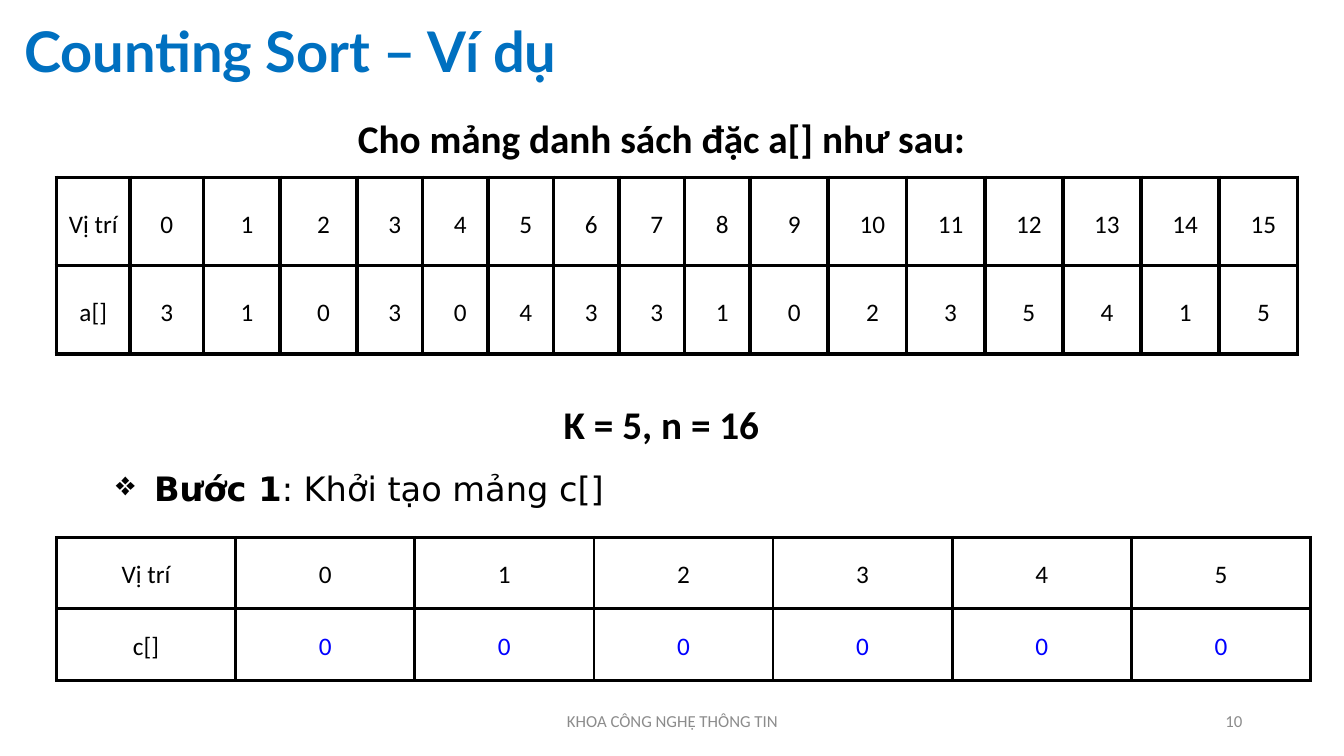
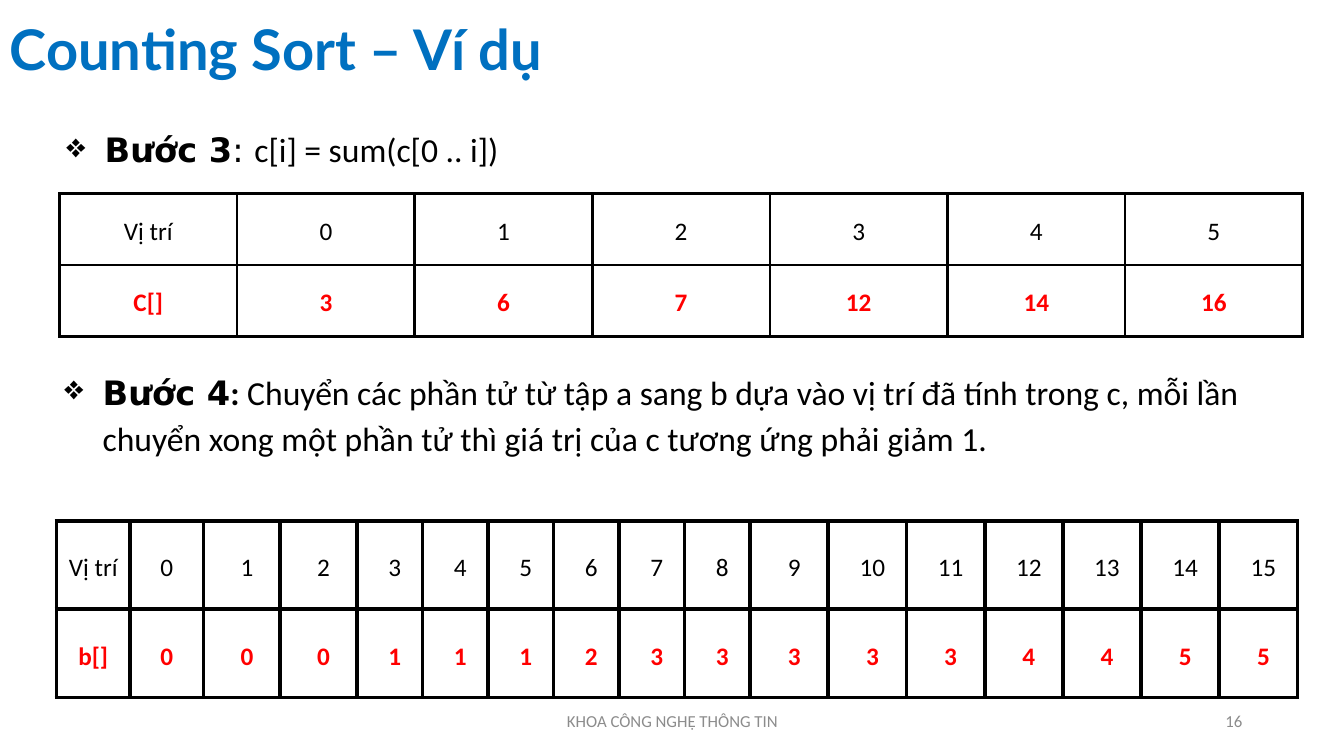
"""Build two slides that walk through a counting sort example."""
from dataclasses import dataclass
from typing import Any, Optional

from lxml import etree
from pptx import Presentation
from pptx.dml.color import RGBColor
from pptx.enum.text import MSO_ANCHOR, PP_ALIGN
from pptx.oxml.ns import qn
from pptx.util import Inches, Pt

LEFT, CENTER, RIGHT = PP_ALIGN.LEFT, PP_ALIGN.CENTER, PP_ALIGN.RIGHT
TOP, MIDDLE = MSO_ANCHOR.TOP, MSO_ANCHOR.MIDDLE


@dataclass(frozen=True)
class Theme:
    title_color: str = "0070C0"
    text_color: str = "000000"
    footer_color: str = "8C8C8C"
    initial_color: str = "0000FF"
    result_color: str = "FF0000"
    title_font: str = "Lato"
    body_font: str = "Calibri"
    step_font: str = "DejaVu Sans"
    title_size: float = 40
    heading_size: float = 28
    step_size: float = 24
    cell_size: float = 18
    footer_size: float = 12


THEME = Theme()


@dataclass(frozen=True)
class Box:
    left: float
    top: float
    width: float
    height: float

    def lengths(self) -> tuple:
        return tuple(Inches(value) for value in (self.left, self.top, self.width, self.height))


@dataclass(frozen=True)
class TextRun:
    text: str
    size: float
    font: str = THEME.body_font
    color: str = THEME.text_color
    bold: bool = False


@dataclass(frozen=True)
class TableStyle:
    column_widths: tuple[float, ...]
    row_height: float
    side_margin: float
    end_margin: float
    border_width: float
    line_spacing: float
    space_after: float
    indented_from: Optional[int] = None


@dataclass(frozen=True)
class ArrayTable:
    left: float
    top: float
    style: TableStyle
    name: str
    values: tuple[int, ...]
    name_color: str = THEME.text_color
    value_color: str = THEME.text_color
    bold: bool = False


def list_style(width: float) -> TableStyle:
    """Return the style of a sixteen-element array table."""
    first_widths = (0.73,) * 2 + (0.76,) * 2 + (0.65,) * 6
    last_width = (width - sum(first_widths)) / 7
    return TableStyle(first_widths + (last_width,) * 7, 0.875, 0.1, 0, 3, 1.2, 6, 2)


def count_style(width: float) -> TableStyle:
    """Return the style of a counter table with seven equal columns."""
    return TableStyle((width / 7,) * 7, 0.71, 0.11, 0.08, 2.25, 1.15, 15)


def apply_format(target: Any, values: dict[str, Any]) -> None:
    """Set each named attribute on the target."""
    for name, value in values.items():
        setattr(target, name, value)


def add_runs(paragraph: Any, runs: list[TextRun]) -> None:
    """Append formatted runs to a paragraph."""
    for item in runs:
        run = paragraph.add_run()
        run.text = item.text
        apply_format(run.font, {"name": item.font, "size": Pt(item.size), "bold": item.bold})
        run.font.color.rgb = RGBColor.from_string(item.color)


def add_text(slide: Any, box: Box, runs: list[TextRun], anchor: Any = TOP, **paragraph_format: Any) -> Any:
    """Add a wrapped text box and return its text frame."""
    frame = slide.shapes.add_textbox(*box.lengths()).text_frame
    apply_format(frame, {"word_wrap": True, "vertical_anchor": anchor})
    paragraph = frame.paragraphs[0]
    apply_format(paragraph, paragraph_format)
    add_runs(paragraph, runs)
    return frame


def add_step(slide: Any, box: Box, label: str, runs: list[TextRun]) -> None:
    """Add a bulleted step with a bold label."""
    label_run = TextRun(label, THEME.step_size, THEME.step_font, bold=True)
    frame = add_text(slide, box, [label_run, *runs], line_spacing=1.15, space_after=Pt(7.5))
    properties = frame.paragraphs[0]._p.get_or_add_pPr()
    properties.set("marL", str(Inches(0.38)))
    properties.set("indent", str(-Inches(0.38)))
    etree.SubElement(properties, qn("a:buChar"), char="❖")


def add_borders(cell: Any, width: float) -> None:
    """Draw a solid line on all four sides of a cell."""
    properties = cell._tc.get_or_add_tcPr()
    for side in ("L", "R", "T", "B"):
        line = etree.SubElement(properties, qn(f"a:ln{side}"), w=str(Pt(width)))
        fill = etree.SubElement(line, qn("a:solidFill"))
        etree.SubElement(fill, qn("a:srgbClr"), val=THEME.text_color)


def fill_cell(cell: Any, run: TextRun, style: TableStyle, indented: bool) -> None:
    """Write and format one table cell."""
    side, end = Inches(style.side_margin), Inches(style.end_margin)
    apply_format(cell, {
        "vertical_anchor": MIDDLE,
        "margin_left": side,
        "margin_right": side,
        "margin_top": end,
        "margin_bottom": end,
    })
    paragraph = cell.text_frame.paragraphs[0]
    apply_format(paragraph, {
        "alignment": CENTER,
        "line_spacing": style.line_spacing,
        "space_after": Pt(style.space_after),
    })
    if indented:
        paragraph._p.get_or_add_pPr().set("indent", str(Inches(0.1)))
    add_runs(paragraph, [run])
    add_borders(cell, style.border_width)
    cell.fill.background()


def add_array_table(slide: Any, array: ArrayTable) -> None:
    """Add a table of array positions and values."""
    style = array.style
    widths = style.column_widths
    box = Box(array.left, array.top, sum(widths), 2 * style.row_height)
    table = slide.shapes.add_table(2, len(widths), *box.lengths()).table
    apply_format(table, {"first_row": False, "horz_banding": False})
    for column, width in zip(table.columns, widths):
        column.width = Inches(width)
    for row in table.rows:
        row.height = Inches(style.row_height)
    positions = ("Vị trí", *range(len(array.values)))
    for index, (position, value) in enumerate(zip(positions, (array.name, *array.values))):
        color = array.value_color if index else array.name_color
        indented = style.indented_from is not None and index >= style.indented_from
        runs = (
            TextRun(str(position), THEME.cell_size),
            TextRun(str(value), THEME.cell_size, color=color, bold=array.bold),
        )
        for row_index, run in enumerate(runs):
            fill_cell(table.cell(row_index, index), run, style, indented)


def add_slide(presentation: Any, title_box: Box, number: int) -> Any:
    """Add a blank slide with the shared title and footer."""
    slide = presentation.slides.add_slide(presentation.slide_layouts[6])
    title = TextRun("Counting Sort – Ví dụ", THEME.title_size, THEME.title_font, THEME.title_color, True)
    add_text(slide, title_box, [title], MIDDLE, line_spacing=0.9)
    footers = (
        (Box(4.42, 6.95, 4.5, 0.4), "KHOA CÔNG NGHỆ THÔNG TIN", CENTER),
        (Box(9.42, 6.95, 3, 0.4), str(number), RIGHT),
    )
    for box, text, alignment in footers:
        run = TextRun(text, THEME.footer_size, color=THEME.footer_color)
        add_text(slide, box, [run], MIDDLE, alignment=alignment)
    return slide


def add_setup_slide(presentation: Any) -> None:
    """Add the slide with the input array and empty counters."""
    slide = add_slide(presentation, Box(0.14, 0, 11.5, 1.08), 10)
    heading = TextRun("Cho mảng danh sách đặc a[] như sau:", THEME.heading_size, bold=True)
    frame = add_text(slide, Box(0.56, 1.08, 12, 4.81), [heading], alignment=CENTER)
    size_line = frame.add_paragraph()
    apply_format(size_line, {"alignment": CENTER, "space_before": Pt(171)})
    add_runs(size_line, [TextRun("K = 5, n = 16", THEME.heading_size, bold=True)])
    add_array_table(slide, ArrayTable(
        0.56, 1.76, list_style(12.31), "a[]", (3, 1, 0, 3, 0, 4, 3, 3, 1, 0, 2, 3, 5, 4, 1, 5)))
    add_step(slide, Box(1.05, 4.53, 5.22, 0.57), "Bước 1", [
        TextRun(": Khởi tạo mảng c[]", THEME.step_size, THEME.step_font)])
    add_array_table(slide, ArrayTable(
        0.56, 5.33, count_style(12.44), "c[]", (0,) * 6, value_color=THEME.initial_color))


def add_result_slide(presentation: Any) -> None:
    """Add the slide with the summed counters and sorted array."""
    slide = add_slide(presentation, Box(0, 0, 11.5, 1.04), 16)
    result_format = {"name_color": THEME.result_color, "value_color": THEME.result_color, "bold": True}
    add_step(slide, Box(0.56, 1.17, 11.51, 0.57), "Bước 3", [
        TextRun(": ", THEME.step_size, THEME.step_font),
        TextRun("c[i] = sum(c[0 .. i])", THEME.step_size),
    ])
    add_array_table(slide, ArrayTable(
        0.59, 1.92, count_style(12.33), "C[]", (3, 6, 7, 12, 14, 16), **result_format))
    add_step(slide, Box(0.54, 3.58, 12.35, 1.53), "Bước 4", [
        TextRun(":", THEME.step_size, bold=True),
        TextRun(
            " Chuyển các phần tử từ tập a sang b dựa vào vị trí đã tính trong c, mỗi lần "
            "chuyển xong một phần tử thì giá trị của c tương ứng phải giảm 1.",
            THEME.step_size,
        ),
    ])
    add_array_table(slide, ArrayTable(
        0.56, 5.17, list_style(12.31), "b[]",
        (0, 0, 0, 1, 1, 1, 2, 3, 3, 3, 3, 3, 4, 4, 5, 5), **result_format))


def main() -> None:
    """Create and save the presentation."""
    presentation = Presentation()
    apply_format(presentation, {"slide_width": Inches(13.33), "slide_height": Inches(7.5)})
    add_setup_slide(presentation)
    add_result_slide(presentation)
    presentation.save("out.pptx")


if __name__ == "__main__":
    main()
